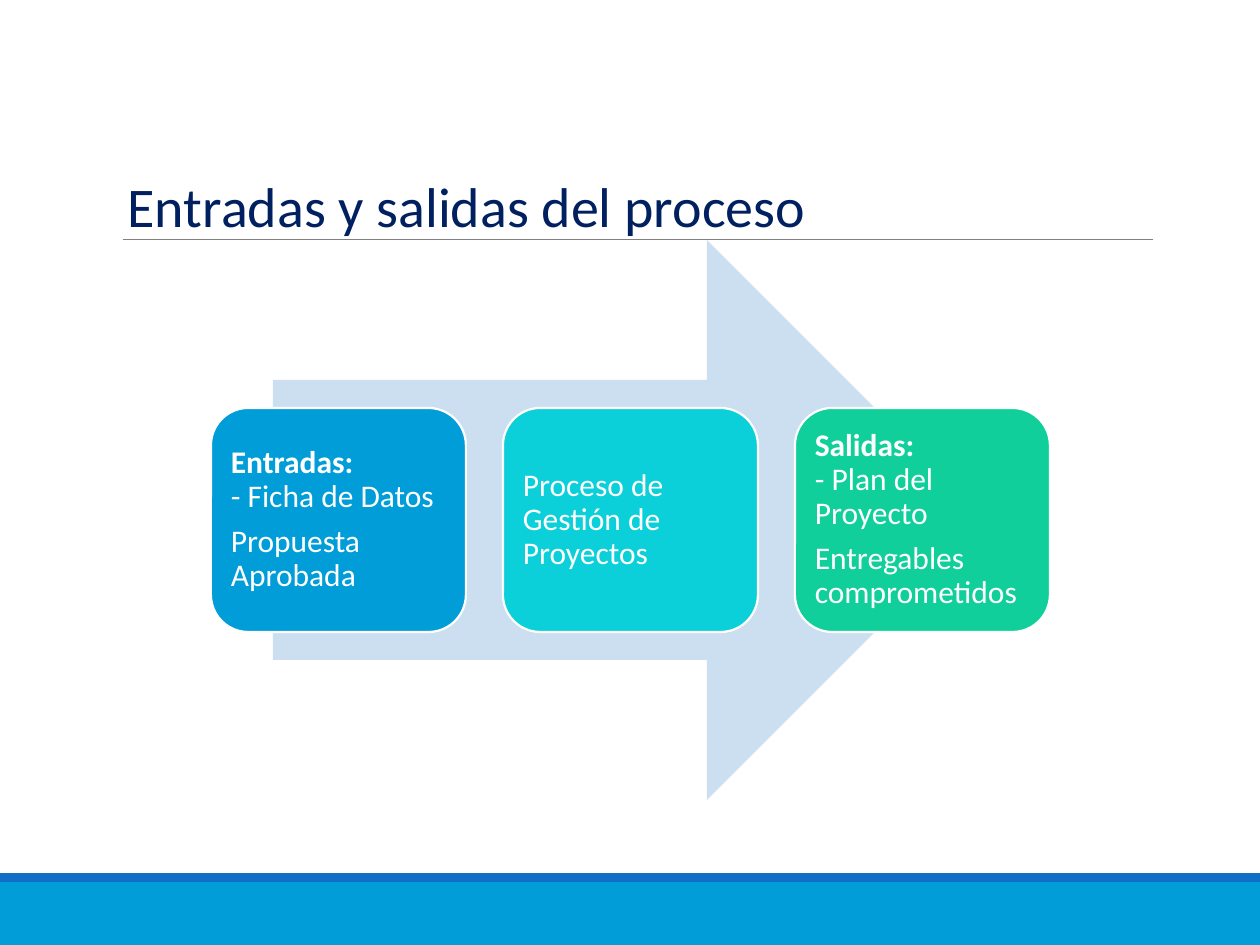
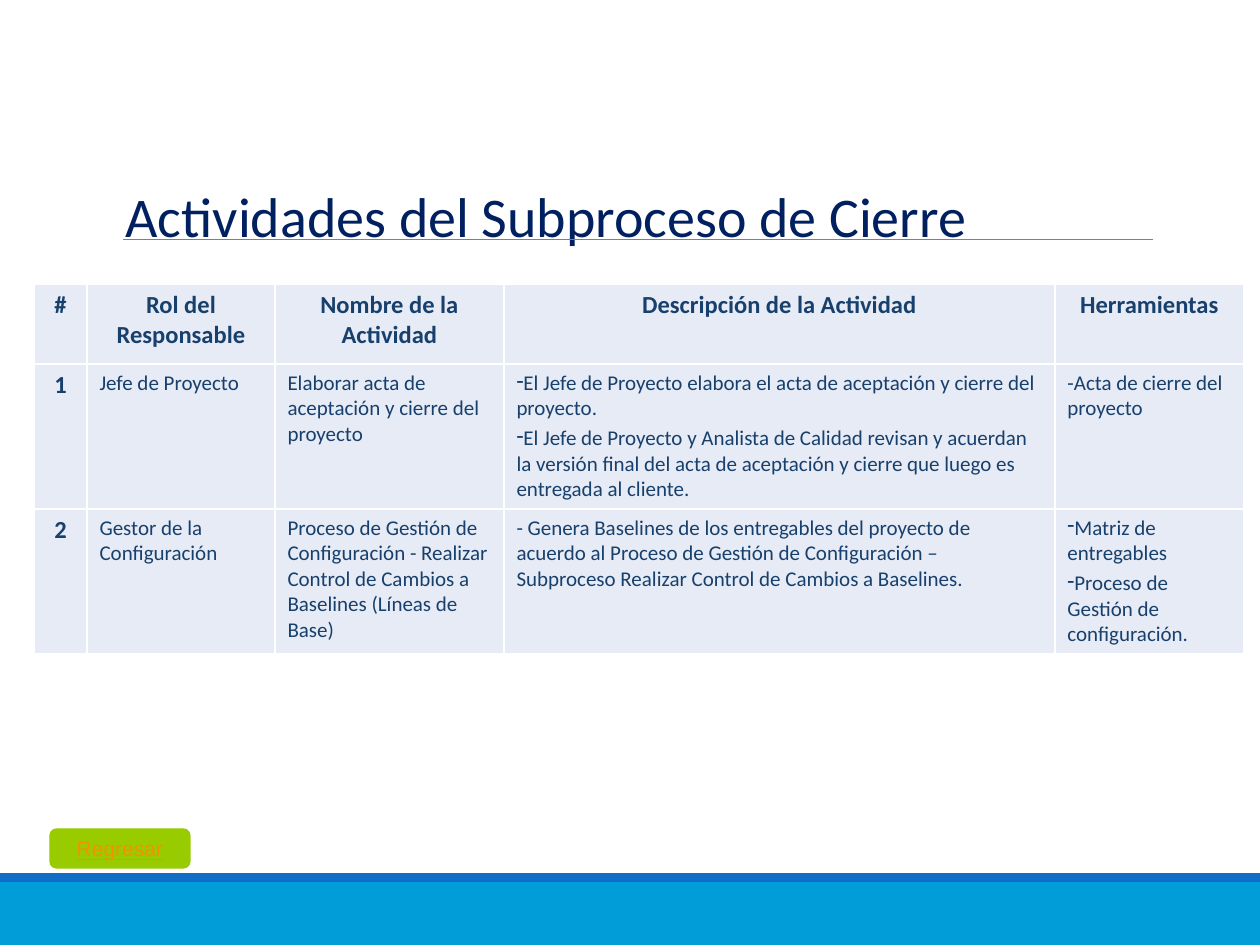
import pptx
import pptx.util
import pptx.dml.color
import pptx.enum.shapes
import pptx.enum.text
import pptx.oxml.ns
import lxml.etree

RGBColor = pptx.dml.color.RGBColor
Shape = pptx.enum.shapes.MSO_SHAPE
Align = pptx.enum.text.PP_ALIGN
Anchor = pptx.enum.text.MSO_ANCHOR
Pt = pptx.util.Pt

# Shared look
WHITE = RGBColor(0xFF, 0xFF, 0xFF)
NAVY = RGBColor(0x00, 0x20, 0x60)
BLUE = RGBColor(0x00, 0x9D, 0xD9)
DARK_BLUE = RGBColor(0x0F, 0x6F, 0xC6)
CYAN = RGBColor(0x0B, 0xD0, 0xD9)
GREEN = RGBColor(0x10, 0xCF, 0x9B)
PALE_BLUE = RGBColor(0xCC, 0xDF, 0xF1)
GRAY = RGBColor(0x80, 0x80, 0x80)
CELL_FILL = RGBColor(0xE7, 0xEB, 0xF5)
CELL_TEXT = RGBColor(0x17, 0x40, 0x6D)
LIME = RGBColor(0x99, 0xCC, 0x00)
ORANGE = RGBColor(0xF4, 0x91, 0x00)
FONT = "Calibri"
PX_PER_INCH = 126
SLIDE_WIDTH, SLIDE_HEIGHT = 1260, 945
BAND_TOP, STRIPE_HEIGHT = 882, 9

# Slide 1: each step has a fill and paragraphs made of (text, bold) lines
FLOW_TITLE = "Entradas y salidas del proceso"
STEPS = [
    (BLUE, [[("Entradas:", True), ("- Ficha de Datos", False)],
            [("Propuesta Aprobada", False)]]),
    (CYAN, [[("Proceso de Gestión de Proyectos", False)]]),
    (GREEN, [[("Salidas:", True), ("- Plan del Proyecto", False)],
             [("Entregables comprometidos", False)]]),
]
STEP_LEFT, STEP_TOP, STEP_WIDTH, STEP_HEIGHT, STEP_GAP = 211, 408, 255, 224, 37

# Slide 2: a list inside a cell is a bulleted list
TABLE_TITLE = "Actividades del Subproceso de Cierre"
ACTIVITIES = [
    ["#", "Rol del Responsable", "Nombre de la Actividad",
     "Descripción de la Actividad", "Herramientas"],
    ["1", "Jefe de Proyecto", "Elaborar acta de aceptación y cierre del proyecto",
     ["El Jefe de Proyecto elabora el acta de aceptación y cierre del proyecto.",
      "El Jefe de Proyecto y Analista de Calidad revisan y acuerdan la versión final "
      "del acta de aceptación y cierre que luego es entregada al cliente."],
     "-Acta de cierre del proyecto"],
    ["2", "Gestor de la Configuración",
     "Proceso de Gestión de Configuración - Realizar Control de Cambios a Baselines "
     "(Líneas de Base)",
     "- Genera Baselines de los entregables del proyecto de acuerdo al Proceso de "
     "Gestión de Configuración – Subproceso Realizar Control de Cambios a Baselines.",
     ["Matriz de entregables", "Proceso de Gestión de configuración."]],
]
COLUMN_WIDTHS = [53, 188, 229, 551, 189]
ROW_HEIGHTS = [80, 144, 144]
BUTTON_LABEL = "Regresar"


def px(length):
    return pptx.util.Emu(round(length * 914400 / PX_PER_INCH))


def add_span(para, text, size, color, bold=False, font=FONT):
    span = para.add_run()
    span.text = text
    span.font.name = font
    span.font.size = Pt(size)
    span.font.bold = bold
    span.font.color.rgb = color
    return span


def add_box(page, kind, left, top, width, height, fill, line=None, line_width=1):
    box = page.shapes.add_shape(kind, px(left), px(top), px(width), px(height))
    box.shadow.inherit = False
    box.fill.solid()
    box.fill.fore_color.rgb = fill
    if line is None:
        box.line.fill.background()
    else:
        box.line.color.rgb = line
        box.line.width = Pt(line_width)
    return box


def set_insets(frame, inset):
    frame.margin_left = frame.margin_right = px(inset)
    frame.margin_top = frame.margin_bottom = px(inset)


def add_page(deck, title, left, top, width):
    """Add a page with the footer bands, the title rule and the title."""
    page = deck.slides.add_slide(deck.slide_layouts[5])
    add_box(page, Shape.RECTANGLE, 0, BAND_TOP, SLIDE_WIDTH,
            SLIDE_HEIGHT - BAND_TOP, BLUE)
    add_box(page, Shape.RECTANGLE, 0, BAND_TOP - STRIPE_HEIGHT, SLIDE_WIDTH,
            STRIPE_HEIGHT, DARK_BLUE)

    rule = page.shapes.add_connector(pptx.enum.shapes.MSO_CONNECTOR.STRAIGHT,
                                     px(123), px(239), px(1153), px(239))
    rule.line.color.rgb = GRAY
    rule.line.width = Pt(0.5)
    lxml.etree.SubElement(rule._element.spPr, pptx.oxml.ns.qn("a:effectLst"))

    box = page.shapes.title
    box.left, box.top, box.width, box.height = px(left), px(top), px(width), px(79)
    frame = box.text_frame
    frame.word_wrap = True
    frame.auto_size = pptx.enum.text.MSO_AUTO_SIZE.NONE
    frame.vertical_anchor = Anchor.TOP
    para = frame.paragraphs[0]
    para.alignment = Align.LEFT
    add_span(para, title, 32, NAVY)
    return page


def add_step(page, index, fill, paragraphs):
    left = STEP_LEFT + index * (STEP_WIDTH + STEP_GAP)
    box = add_box(page, Shape.ROUNDED_RECTANGLE, left, STEP_TOP, STEP_WIDTH,
                  STEP_HEIGHT, fill, WHITE, 1.25)
    frame = box.text_frame
    frame.word_wrap = True
    frame.vertical_anchor = Anchor.MIDDLE
    set_insets(frame, 9)
    for number, lines in enumerate(paragraphs):
        para = frame.add_paragraph() if number else frame.paragraphs[0]
        para.alignment = Align.LEFT
        para.line_spacing = 0.9
        para.space_after = Pt(6.3)
        for line_number, (text, bold) in enumerate(lines):
            if line_number:
                para.add_line_break()
            add_span(para, text, 18, WHITE, bold)


def add_cell_borders(cell):
    properties = cell._tc.get_or_add_tcPr()
    for position, side in enumerate(("lnL", "lnR", "lnT", "lnB")):
        border = lxml.etree.Element(pptx.oxml.ns.qn("a:" + side), w=str(Pt(1)))
        fill = lxml.etree.SubElement(border, pptx.oxml.ns.qn("a:solidFill"))
        lxml.etree.SubElement(fill, pptx.oxml.ns.qn("a:srgbClr"), val=str(WHITE))
        properties.insert(position, border)


def fill_cell(cell, content, strong):
    cell.fill.solid()
    cell.fill.fore_color.rgb = CELL_FILL
    add_cell_borders(cell)
    size = 14 if strong else 12
    bulleted = isinstance(content, list)
    for number, text in enumerate(content if bulleted else [content]):
        frame = cell.text_frame
        para = frame.add_paragraph() if number else frame.paragraphs[0]
        para.alignment = Align.CENTER if strong else Align.LEFT
        para.space_before = Pt(size * 0.2)
        if bulleted:
            lxml.etree.SubElement(para._p.get_or_add_pPr(),
                                  pptx.oxml.ns.qn("a:buChar"), char="-")
        add_span(para, text, size, CELL_TEXT, strong)


def build_flow_page(deck):
    page = add_page(deck, FLOW_TITLE, 115, 165, 857)
    add_box(page, Shape.RIGHT_ARROW, 273, 240, 714, 560, PALE_BLUE)
    for index, (fill, paragraphs) in enumerate(STEPS):
        add_step(page, index, fill, paragraphs)


def build_table_page(deck):
    page = add_page(deck, TABLE_TITLE, 113, 175, 1048)
    table = page.shapes.add_table(
        len(ROW_HEIGHTS), len(COLUMN_WIDTHS), px(34), px(284),
        px(sum(COLUMN_WIDTHS)), px(sum(ROW_HEIGHTS))).table
    table.first_row = table.horz_banding = False
    for column, width in zip(table.columns, COLUMN_WIDTHS):
        column.width = px(width)
    for row, height in zip(table.rows, ROW_HEIGHTS):
        row.height = px(height)
    for row, contents in enumerate(ACTIVITIES):
        for column, content in enumerate(contents):
            fill_cell(table.cell(row, column), content, row == 0 or column == 0)

    # Return button
    button = add_box(page, Shape.FLOWCHART_ALTERNATE_PROCESS, 50, 829, 140, 39,
                     LIME, LIME, 0.75)
    frame = button.text_frame
    frame.vertical_anchor = Anchor.MIDDLE
    set_insets(frame, 0)
    para = frame.paragraphs[0]
    para.alignment = Align.CENTER
    add_span(para, BUTTON_LABEL, 12, ORANGE, font="Arial").font.underline = True


def main():
    deck = pptx.Presentation()
    deck.slide_width, deck.slide_height = px(SLIDE_WIDTH), px(SLIDE_HEIGHT)
    build_flow_page(deck)
    build_table_page(deck)
    deck.save("out.pptx")


if __name__ == "__main__":
    main()
